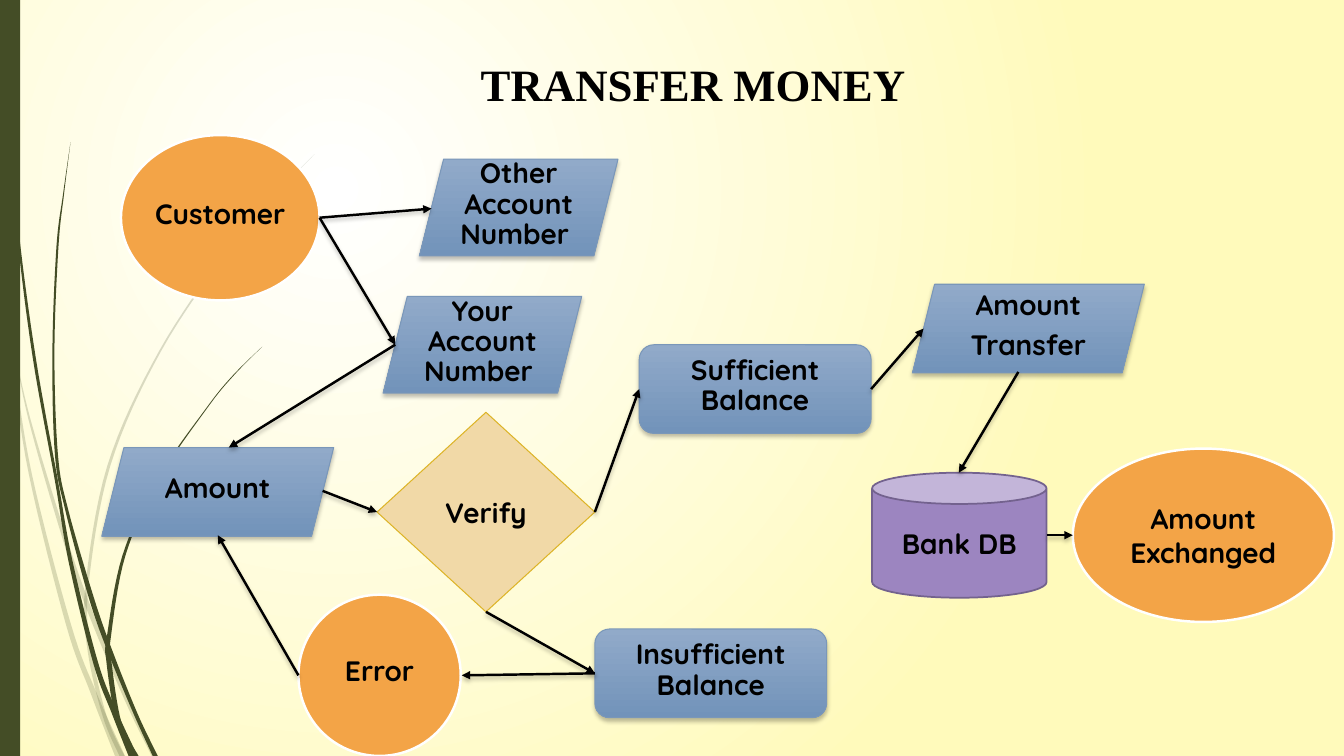
from lxml.etree import SubElement
from pptx import Presentation
from pptx.dml.color import RGBColor
from pptx.enum.shapes import MSO_CONNECTOR, MSO_SHAPE as SHAPE
from pptx.enum.text import MSO_ANCHOR, PP_ALIGN
from pptx.oxml import parse_xml
from pptx.oxml.ns import nsdecls, qn
from pptx.util import Pt

PX = 9144  # EMU per px, 100 px to the inch
COLOURS = {
    "white": "FFFFFF", "cream": "FFFABB", "black": "000000", "moss": "444D26",
    "orange": "F3A447", "sand": "F1D9A7", "gold": "DDB427",
    "purple": "9C85C0", "plum": "73628E",
    "sky": "91AAC9", "steel": "7293BA", "slate": "7A97B9",
}
RGB = {name: RGBColor.from_string(value) for name, value in COLOURS.items()}


def px(*lengths):
    return [round(length * PX) for length in lengths]


def cast_shadow(shape):
    shape._element.spPr.append(parse_xml(
        f'<a:effectLst {nsdecls("a")}><a:outerShdw blurRad="38100" dist="25400" dir="5400000" '
        f'rotWithShape="0"><a:srgbClr val="{COLOURS["black"]}"><a:alpha val="25000"/>'
        '</a:srgbClr></a:outerShdw></a:effectLst>'))


prs = Presentation()
prs.slide_width, prs.slide_height = px(1333, 750)
slide = prs.slides.add_slide(prs.slide_layouts[5])

# Background: glow centred towards the top left
glow = slide.background.fill
glow.gradient()
for stop, name in zip(glow.gradient_stops, ("white", "cream")):
    stop.color.rgb = RGB[name]
for stop, position in zip(glow.gradient_stops, (0, 1)):
    stop.position = position
linear = next(slide._element.iter(qn("a:lin")))
linear.getparent().replace(linear, parse_xml(
    f'<a:path {nsdecls("a")} path="circle">'
    '<a:fillToRect l="50000" t="50000" r="100000" b="100000"/></a:path>'))

# Grass: each blade is a run of (x, y, width), smoothed into an outline
pale_blades = [
    [(0, 290, 2), (11, 350, 2), (30, 470, 3), (68, 620, 5), (93, 688, 6), (119, 750, 10)],
    [(14, 345, 0), (29, 415, 2), (60, 521, 4), (86, 598, 5), (125, 693, 4), (153, 750, 5)],
    [(312, 153, 0), (268, 198, 1), (228, 245, 2), (159, 348, 2), (108, 462, 3),
     (86, 584, 3), (89, 646, 4), (104, 711, 4), (121, 750, 5)],
]
dark_blades = [
    [(3, 0, 1), (7, 109, 1), (18, 233, 2), (34, 355, 3), (56, 477, 3),
     (70, 557, 4), (95, 658, 5), (114, 708, 6), (132, 750, 9)],
    [(70, 141, 0), (63, 193, 1), (57, 245, 2), (53, 349, 2), (56, 451, 3),
     (66, 505, 3), (90, 591, 5), (108, 643, 5), (134, 707, 4), (154, 750, 5)],
    [(260, 344, 0), (231, 373, 1), (205, 405, 1), (157, 475, 2), (123, 551, 3),
     (108, 632, 4), (108, 656, 5), (118, 717, 5), (135, 750, 5)],
]
STEPS = 8
for blades, opacity in ((pale_blades, 20), (dark_blades, 100)):
    for blade in blades:
        knots = [blade[0], *blade, blade[-1]]
        spine = []
        for before, start, end, after in zip(knots, knots[1:], knots[2:], knots[3:]):
            for t in (step / STEPS for step in range(STEPS)):
                spine.append([
                    b + ((c - a) * t + (2 * a - 5 * b + 4 * c - d) * t ** 2
                         + (3 * b - a - 3 * c + d) * t ** 3) / 2
                    for a, b, c, d in zip(before, start, end, after)])
        spine.append(blade[-1])
        outline = [px(x - w / 2, y) for x, y, w in spine]
        outline += [px(x + w / 2, y) for x, y, w in reversed(spine)]
        builder = slide.shapes.build_freeform(*outline[0])
        builder.add_line_segments(outline[1:], close=True)
        grass = builder.convert_to_shape()
        grass.shadow.inherit = False
        grass.fill.solid()
        grass.fill.fore_color.rgb = RGB["moss"]
        grass.line.fill.background()
        if opacity < 100:
            tint = grass._element.spPr.find(qn("a:solidFill")).find(qn("a:srgbClr"))
            SubElement(tint, qn("a:alpha"), val=str(opacity * 1000))

# Left edge bar
bar = slide.shapes.add_shape(SHAPE.RECTANGLE, *px(0, 0, 20, 750))
bar.shadow.inherit = False
bar.fill.solid()
bar.fill.fore_color.rgb = RGB["moss"]
bar.line.fill.background()

# Title
title = slide.shapes.title
title.left, title.top, title.width, title.height = px(282, 51, 811, 93)
title.text_frame.text = "TRANSFER MONEY"
title.text_frame.vertical_anchor = MSO_ANCHOR.TOP
heading = title.text_frame.paragraphs[0]
heading.alignment = PP_ALIGN.CENTER
heading_font = heading.runs[0].font
heading_font.name, heading_font.size, heading_font.bold = "Times New Roman", Pt(32), True
heading_font.color.rgb = RGB["black"]

# Flowchart steps: preset -> fill (None is the blue gradient), line, line width
LOOKS = {
    SHAPE.OVAL: ("orange", "white", 1.75),
    SHAPE.PARALLELOGRAM: (None, "slate", 0.75),
    SHAPE.ROUNDED_RECTANGLE: (None, "slate", 0.75),
    SHAPE.DIAMOND: ("sand", "gold", 0.75),
    SHAPE.CAN: ("purple", "plum", 1.25),
}
# key, preset, box, text, tight text spacing
steps = [
    ("customer", SHAPE.OVAL, (120, 134, 197, 164), "Customer", True),
    ("other", SHAPE.PARALLELOGRAM, (416, 158, 197, 96), "Other Account Number ", True),
    ("your", SHAPE.PARALLELOGRAM, (380, 294, 197, 96), "Your Account Number ", True),
    ("amount", SHAPE.PARALLELOGRAM, (101, 444, 230, 88), "Amount", True),
    ("transfer", SHAPE.PARALLELOGRAM, (905, 282, 230, 88), "Amount\nTransfer", True),
    ("sufficient", SHAPE.ROUNDED_RECTANGLE, (634, 342, 230, 88), "Sufficient Balance", True),
    ("insufficient", SHAPE.ROUNDED_RECTANGLE, (590, 624, 230, 88), "Insufficient Balance", True),
    ("verify", SHAPE.DIAMOND, (374, 409, 216, 198), "Verify", False),
    ("error", SHAPE.OVAL, (296, 590, 161, 160), "Error", True),
    ("bank", SHAPE.CAN, (865, 469, 173, 124), "Bank DB", False),
    ("exchanged", SHAPE.OVAL, (1064, 445, 259, 172), "Amount Exchanged", False),
]
chart = {}
for key, preset, box, words, tight in steps:
    step = chart[key] = slide.shapes.add_shape(preset, *px(*box))
    fill, edge, edge_width = LOOKS[preset]
    if fill:
        step.fill.solid()
        step.fill.fore_color.rgb = RGB[fill]
    else:
        step.fill.gradient()
        step.fill.gradient_angle = 270
        for stop, name in zip(step.fill.gradient_stops, ("sky", "steel")):
            stop.color.rgb = RGB[name]
    step.line.color.rgb = RGB[edge]
    step.line.width = Pt(edge_width)
    if fill:
        step.shadow.inherit = False
    else:
        cast_shadow(step)

    frame = step.text_frame
    frame.text = words
    frame.word_wrap = True
    frame.vertical_anchor = MSO_ANCHOR.MIDDLE
    if tight:
        frame.margin_left, frame.margin_top, frame.margin_right, frame.margin_bottom = px(1, 1, 1, 6)
    for paragraph in frame.paragraphs:
        paragraph.alignment = PP_ALIGN.CENTER
        if tight:
            paragraph.line_spacing = 0.9
            paragraph.space_after = Pt(7)
        font = paragraph.runs[0].font
        font.name, font.size, font.bold = "Quicksand", Pt(20), True
        font.color.rgb = RGB["black"]

# Arrows: an end is a point, or a step and the side it joins
TOP, LEFT, BOTTOM, RIGHT = range(4)
arrows = [
    ((317, 216), (428, 207)),
    ((317, 216), (392, 342)),
    ((392, 342), (227, 444)),
    ((320, 487), ("verify", LEFT)),
    (("verify", RIGHT), ("sufficient", LEFT)),
    (("verify", BOTTOM), ("insufficient", LEFT)),
    (("insufficient", LEFT), (458, 670)),
    ((296, 670), (216, 531)),
    (("sufficient", RIGHT), (916, 326)),
    ((1010, 369), (951, 469)),
    ((1038, 531), (1064, 531)),
]
for ends in arrows:
    points = [(0, 0) if end[0] in chart else end for end in ends]
    arrow = slide.shapes.add_connector(MSO_CONNECTOR.STRAIGHT, *px(*points[0], *points[1]))
    for end, join in zip(ends, (arrow.begin_connect, arrow.end_connect)):
        if end[0] in chart:
            join(chart[end[0]], end[1])
    arrow.line.color.rgb = RGB["black"]
    arrow.line.width = Pt(1.75)
    SubElement(arrow.line._get_or_add_ln(), qn("a:tailEnd"), type="triangle")
    cast_shadow(arrow)

prs.save("out.pptx")
